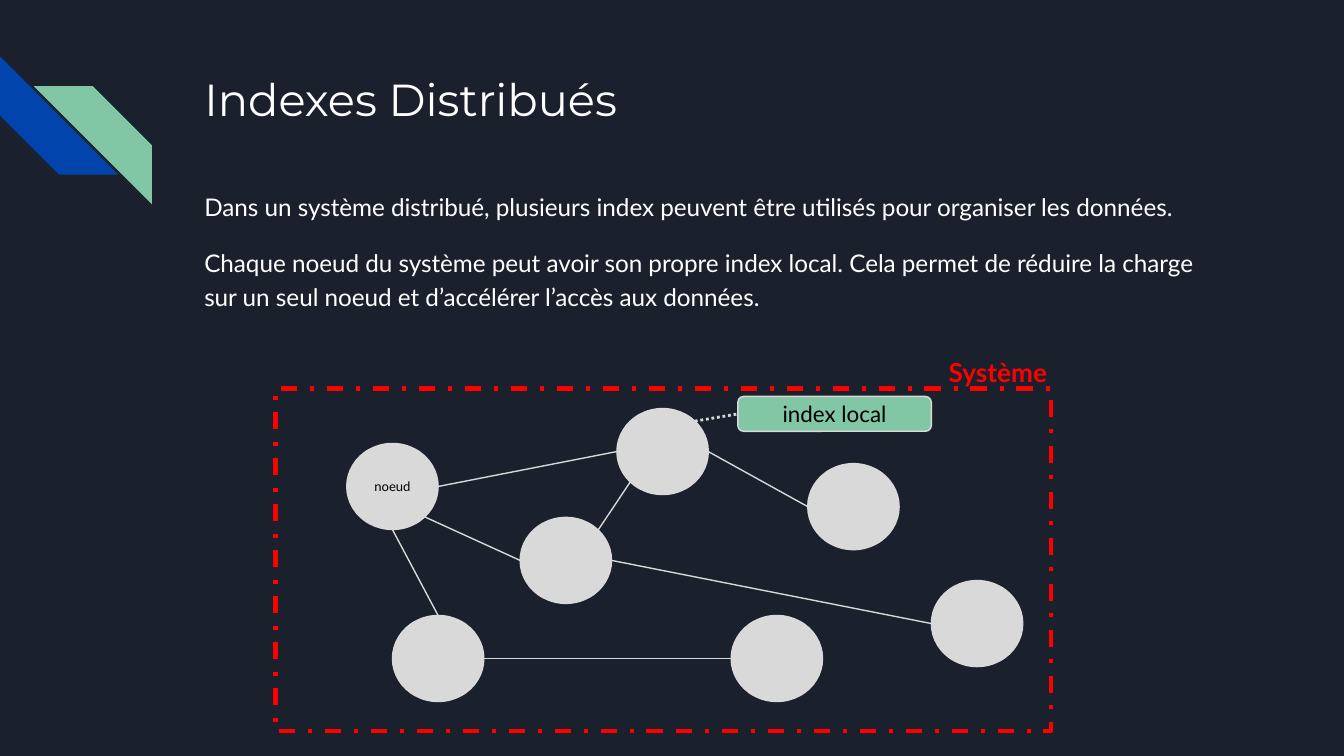
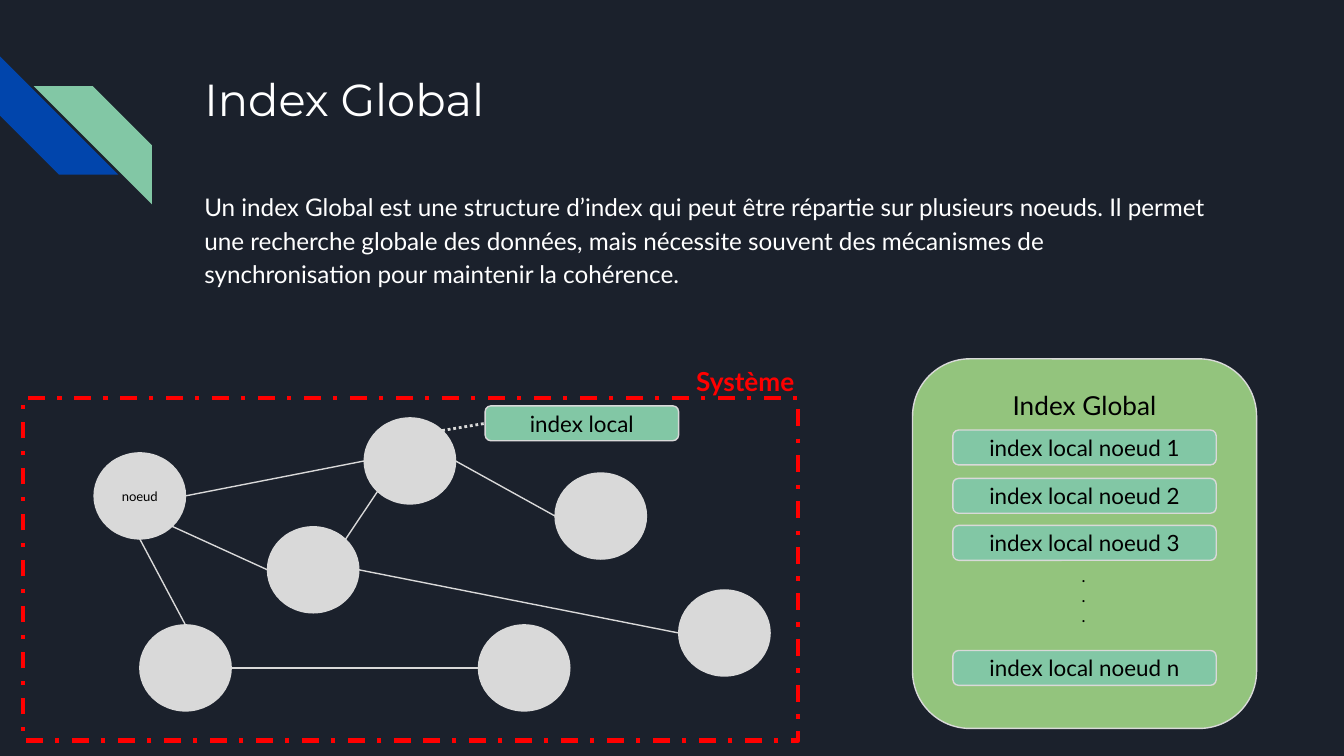
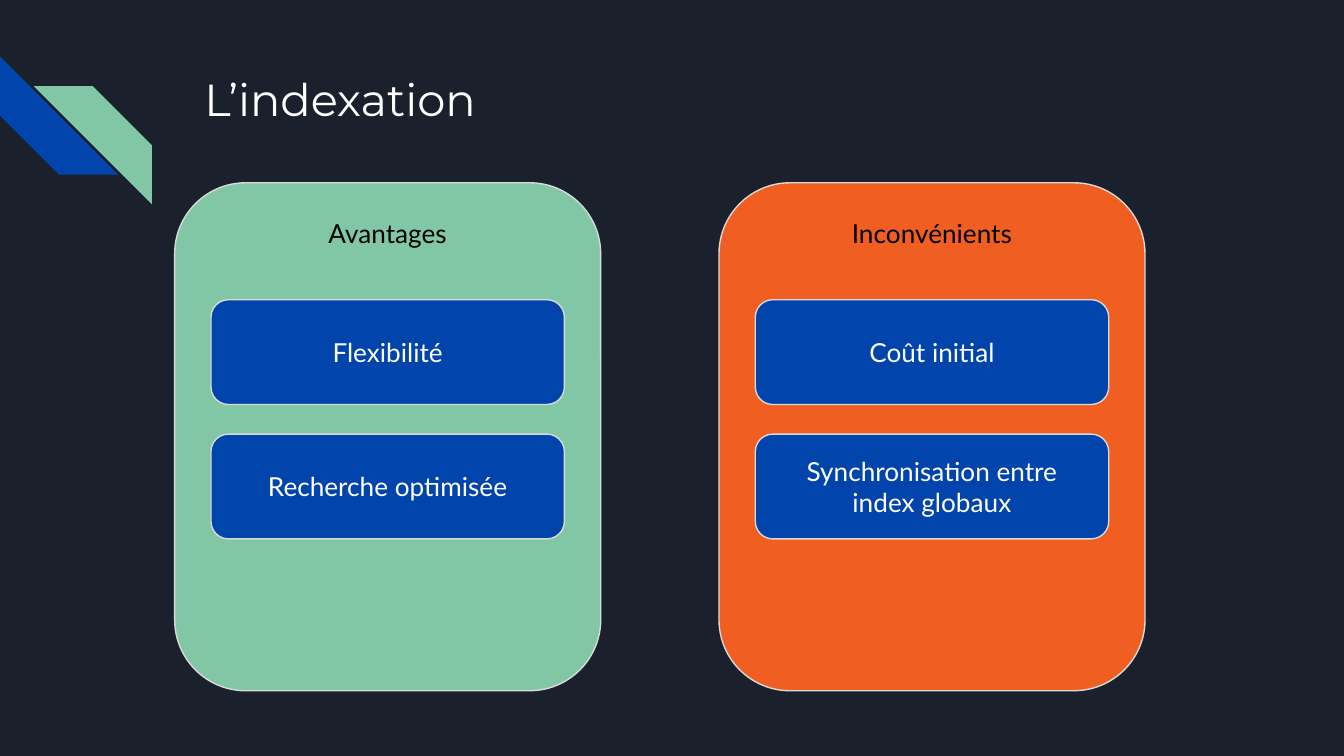
import math

import pptx
import pptx.util
from pptx.dml.color import RGBColor
from pptx.enum.dml import MSO_LINE
from pptx.enum.shapes import MSO_CONNECTOR, MSO_SHAPE
from pptx.enum.text import MSO_ANCHOR, MSO_AUTO_SIZE, PP_ALIGN
from pptx.oxml.ns import qn
import lxml.etree

# Colours and fonts
NIGHT = RGBColor(0x1B, 0x21, 0x2C)
BLUE = RGBColor(0x01, 0x45, 0xAC)
MINT = RGBColor(0x82, 0xC7, 0xA5)
GREEN = RGBColor(0x93, 0xC4, 0x7D)
ORANGE = RGBColor(0xF1, 0x5E, 0x22)
GREY = RGBColor(0xD9, 0xD9, 0xD9)
RED = RGBColor(0xFF, 0x00, 0x00)
WHITE = RGBColor(0xFF, 0xFF, 0xFF)
BLACK = RGBColor(0x00, 0x00, 0x00)
TITLE_FONT, BODY_FONT = "Montserrat", "Lato"

# The slide is a grid of 100 columns and 56.25 rows of square cells
CELL = pptx.util.Inches(0.1)
COLUMNS, ROWS = 100, 56.25
TITLE_AND_BODY, TITLE_ONLY = 1, 5

# Network: node corners and label places, counted from the system frame
FRAME_SIZE = (57.7, 25.5)
NODE_SIZE = (6.8, 6.4)
NODES = {
    "noeud": (5.3, 4.1),
    "centre": (18.2, 9.6),
    "indexed": (25.4, 1.5),
    "lower left": (8.7, 16.9),
    "lower middle": (33.9, 16.9),
    "upper right": (39.6, 5.6),
    "far right": (48.8, 14.3),
}
EAST, SOUTH_EAST, SOUTH, SOUTH_WEST = 0, 45, 90, 135
WEST, NORTH, NORTH_EAST = 180, 270, 315
LINKS = [
    ("noeud", EAST, "indexed", WEST),
    ("indexed", EAST, "upper right", WEST),
    ("centre", EAST, "far right", WEST),
    ("noeud", SOUTH_EAST, "centre", WEST),
    ("noeud", SOUTH, "lower left", NORTH),
    ("lower left", EAST, "lower middle", WEST),
    ("centre", NORTH_EAST, "indexed", SOUTH_WEST),
]


def cells(*counts):
    return [round(count * CELL) for count in counts]


def write(shape, *texts, size=14, color=BLACK, font=BODY_FONT, bold=False,
          align=PP_ALIGN.CENTER, anchor=MSO_ANCHOR.TOP, spacing=None, gap=0, after=0):
    """Fill a shape with paragraphs; gap is the space before all but the first."""
    frame = shape.text_frame
    frame.word_wrap = True
    frame.auto_size = MSO_AUTO_SIZE.NONE
    frame.vertical_anchor = anchor
    frame.margin_left = frame.margin_right = CELL
    frame.margin_top = frame.margin_bottom = CELL
    for number, text in enumerate(texts):
        paragraph = frame.add_paragraph() if number else frame.paragraphs[0]
        paragraph.alignment = align
        paragraph.line_spacing = spacing
        paragraph.space_before = pptx.util.Pt(gap if number else 0)
        last = number == len(texts) - 1
        paragraph.space_after = pptx.util.Pt(after if last else 0)
        run = paragraph.add_run()
        run.text = text
        run.font.size = pptx.util.Pt(size)
        run.font.name = font
        run.font.bold = bold
        run.font.color.rgb = color


def add_block(slide, kind, place, fill=None, line=GREY, width=0.75):
    block = slide.shapes.add_shape(kind, *cells(*place))
    block.shadow.inherit = False
    if fill is None:
        block.fill.background()
    else:
        block.fill.solid()
        block.fill.fore_color.rgb = fill
    if line is None:
        block.line.fill.background()
    else:
        block.line.color.rgb = line
        block.line.width = pptx.util.Pt(width)
    return block


def add_box(slide, place, text, fill=MINT, **style):
    box = add_block(slide, MSO_SHAPE.ROUNDED_RECTANGLE, place, fill)
    write(box, text, **style)
    return box


def add_tag(slide, place, text):
    return add_box(slide, place, text, size=12, anchor=MSO_ANCHOR.MIDDLE)


def add_link(slide, start, end, width=0.75):
    link = slide.shapes.add_connector(MSO_CONNECTOR.STRAIGHT, *cells(*start, *end))
    link.line.color.rgb = GREY
    link.line.width = pptx.util.Pt(width)
    lxml.etree.SubElement(link.element.spPr, qn("a:effectLst"))
    return link


def add_note(slide, place, *texts, **style):
    write(slide.shapes.add_textbox(*cells(*place)), *texts, **style)


def move_to(shape, place):
    shape.left, shape.top, shape.width, shape.height = cells(*place)


def add_slide(deck, title, paragraphs=(), body_height=10):
    layout = TITLE_AND_BODY if paragraphs else TITLE_ONLY
    slide = deck.slides.add_slide(deck.slide_layouts[layout])
    move_to(slide.shapes.title, (14.2, 4.3, 77, 10))
    write(slide.shapes.title, title, size=24, color=WHITE, font=TITLE_FONT,
          align=PP_ALIGN.LEFT)
    if paragraphs:
        body = slide.placeholders[1]
        move_to(body, (14.2, 13, 77, body_height))
        write(body, *paragraphs, size=13, color=WHITE, align=PP_ALIGN.LEFT,
              spacing=1.15, gap=12, after=12)
        for paragraph in body.text_frame.paragraphs:
            properties = paragraph._p.get_or_add_pPr()
            properties.set("marL", "0")
            properties.set("indent", "0")
            lxml.etree.SubElement(properties, qn("a:buNone"))
    return slide


def decorate_master(deck, slide):
    """Set the shared background and move the two stripes onto the master."""
    master = deck.slide_master
    master.background.fill.solid()
    master.background.fill.fore_color.rgb = NIGHT
    blue_stripe = add_block(slide, MSO_SHAPE.DIAGONAL_STRIPE, (0, 4.2, 8.8, 8.8), BLUE, None)
    blue_stripe.rotation = 270
    mint_stripe = add_block(slide, MSO_SHAPE.DIAGONAL_STRIPE, (2.5, 6.4, 8.8, 8.8), MINT, None)
    mint_stripe.element.spPr.xfrm.set("flipH", "1")
    for number, stripe in enumerate((blue_stripe, mint_stripe)):
        stripe.element.nvSpPr.cNvPr.set("id", str(100 + number))
        master.element.cSld.spTree.insert(2 + number, stripe.element)


def add_network(slide, left, top):
    def place(offset, size):
        return (left + offset[0], top + offset[1], *size)

    def rim(node, angle):
        x, y, width, height = place(NODES[node], NODE_SIZE)
        turn = math.radians(angle)
        return (x + width / 2 * (1 + math.cos(turn)),
                y + height / 2 * (1 + math.sin(turn)))

    # System frame and its name
    system = add_block(slide, MSO_SHAPE.RECTANGLE, place((0, 0), FRAME_SIZE),
                       line=RED, width=2.25)
    system.line.dash_style = MSO_LINE.DASH_DOT
    add_note(slide, place((48.5, -3.4), (10.5, 3.6)), "Système", color=RED, bold=True)

    # Nodes and links
    for name, corner in NODES.items():
        node = add_block(slide, MSO_SHAPE.OVAL, place(corner, NODE_SIZE), GREY)
        if name == "noeud":
            write(node, name, size=7, anchor=MSO_ANCHOR.MIDDLE)
    for source, source_angle, target, target_angle in LINKS:
        add_link(slide, rim(source, source_angle), rim(target, target_angle))

    # Local index of one node
    local_index = add_tag(slide, place((34.4, 0.6), (14.4, 2.6)), "index local")
    pointer = add_link(slide, rim("indexed", NORTH_EAST), (left + 34.4, top + 1.9), 1.5)
    pointer.line.dash_style = MSO_LINE.ROUND_DOT
    pointer.end_connect(local_index, 1)


def add_global_index(slide):
    add_box(slide, (67.9, 26.7, 25.6, 27.5), "Index Global", fill=GREEN)
    for number, row in (("1", 32), ("2", 35.6), ("3", 39.1), ("n", 48.4)):
        add_tag(slide, (70.9, row, 19.6, 2.6), f"index local noeud {number}")
    add_note(slide, (79.5, 41.1, 2.4, 6.4), *"...", size=9, align=PP_ALIGN.LEFT)


def add_panel(slide, left, heading, fill, points):
    add_box(slide, (left, 13.6, 31.7, 37.8), heading, fill=fill)
    for number, point in enumerate(points):
        add_box(slide, (left + 2.7, 22.3 + 10 * number, 26.3, 7.8), point,
                fill=BLUE, color=WHITE, anchor=MSO_ANCHOR.MIDDLE)


def main():
    deck = pptx.Presentation()
    deck.slide_width, deck.slide_height = cells(COLUMNS, ROWS)

    # Distributed indexes
    distributed = add_slide(deck, "Indexes Distribués", (
        "Dans un système distribué, plusieurs index peuvent être utilisés pour "
        "organiser les données.",
        "Chaque noeud du système peut avoir son propre index local. Cela permet de "
        "réduire la charge sur un seul noeud et d’accélérer l’accès aux données.",
    ), body_height=11.6)
    decorate_master(deck, distributed)
    add_network(distributed, 20.5, 28.9)

    # Global index
    global_index = add_slide(deck, "Index Global", (
        "Un index Global est une structure d’index qui peut être répartie sur "
        "plusieurs noeuds. Il permet une recherche globale des données, mais "
        "nécessite souvent des mécanismes de synchronisation pour maintenir la "
        "cohérence.",
    ))
    add_global_index(global_index)
    add_network(global_index, 1.7, 29.6)

    # Advantages and drawbacks
    balance = add_slide(deck, "L’indexation")
    add_panel(balance, 13, "Avantages", MINT, ("Flexibilité", "Recherche optimisée"))
    add_panel(balance, 53.5, "Inconvénients", ORANGE,
              ("Coût initial", "Synchronisation entre index globaux"))

    deck.save("out.pptx")


if __name__ == "__main__":
    main()
